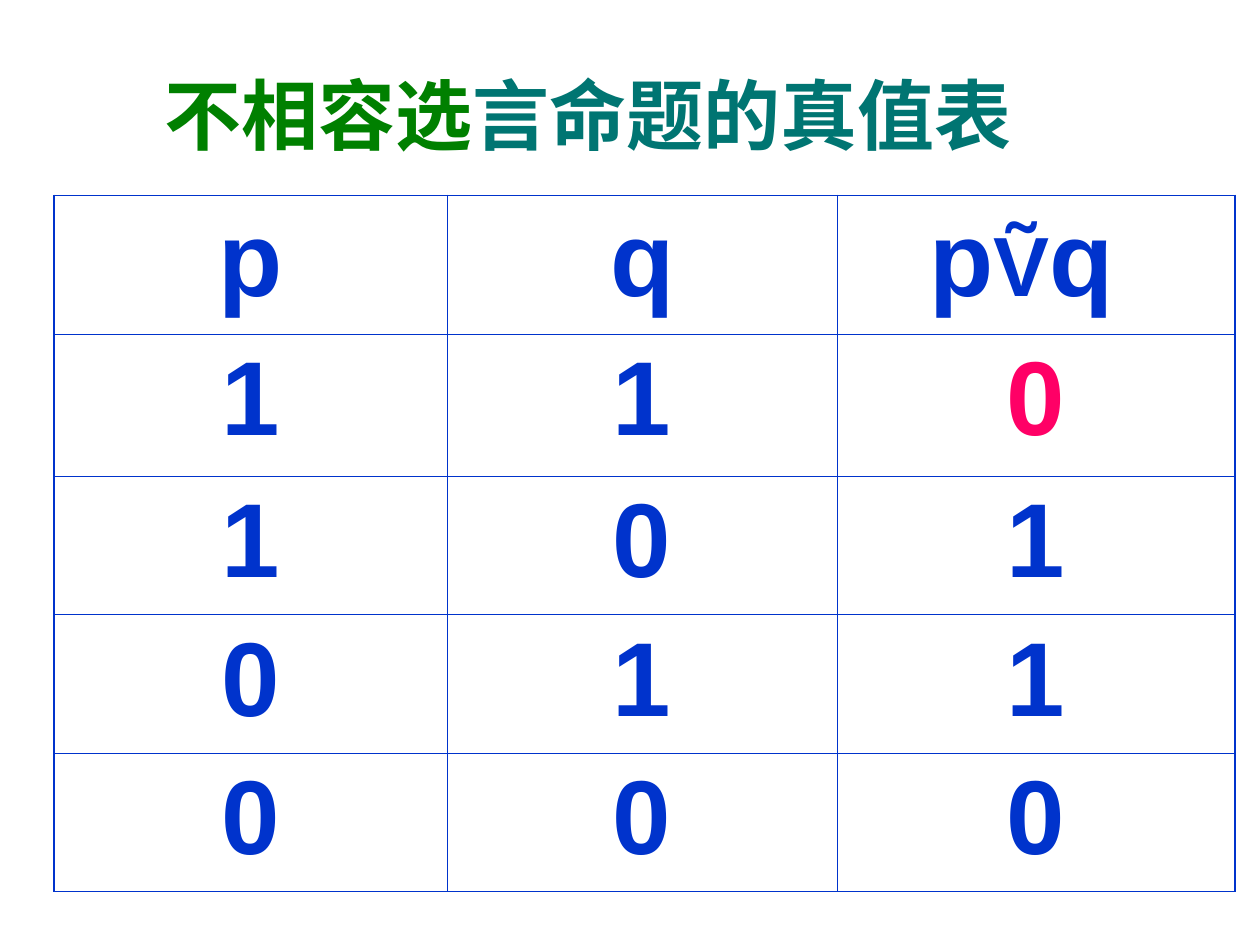
from dataclasses import dataclass

from lxml.etree import SubElement
from pptx import Presentation
from pptx.dml.color import RGBColor
from pptx.enum.text import MSO_ANCHOR, MSO_AUTO_SIZE, PP_ALIGN
from pptx.oxml.ns import qn
from pptx.util import Cm, Pt

BLUE = RGBColor(0x00, 0x33, 0xCC)
PINK = RGBColor(0xFF, 0x00, 0x66)
GREEN = RGBColor(0x00, 0x80, 0x00)
TEAL = RGBColor(0x00, 0x75, 0x72)
FONT = "Arial"
THICK, THIN = Pt(1.08), Pt(0.45)


@dataclass
class Part:
    text: str
    color: RGBColor = BLUE
    size: float = 60


TITLE = [Part("不相容选", GREEN, 44), Part("言命题的真值表", TEAL, 44)]
ROWS = [
    [[Part("p")], [Part("q")], [Part("p"), Part("Ṽ", size=48), Part("q ")]],
    [[Part("1")], [Part("1")], [Part("0", PINK)]],
    [[Part("1")], [Part("0")], [Part("1")]],
    [[Part("0")], [Part("1")], [Part("1")]],
    [[Part("0")], [Part("0")], [Part("0")]],
]
WIDTHS = [7.92, 7.87, 8.01]
HEIGHTS = [2.79, 2.87, 2.79, 2.79, 2.79]


def write(frame, parts: list[Part]) -> None:
    """Fill a text frame with one centred line, run by run."""
    line = frame.paragraphs[0]
    line.alignment = PP_ALIGN.CENTER
    for part in parts:
        run = line.add_run()
        run.text = part.text
        run.font.name = FONT
        run.font.size = Pt(part.size)
        run.font.bold = True
        run.font.color.rgb = part.color


def edge(cell, side: str, width: int) -> None:
    """Draw one border of a cell."""
    line = SubElement(cell._tc.get_or_add_tcPr(), qn(f"a:ln{side}"), w=str(int(width)))
    fill = SubElement(line, qn("a:solidFill"))
    SubElement(fill, qn("a:srgbClr"), val=str(BLUE))


def draw_cell(grid, row: int, col: int, parts: list[Part]) -> None:
    cell = grid.cell(row, col)
    write(cell.text_frame, parts)
    cell.vertical_anchor = MSO_ANCHOR.TOP
    outer = {
        "L": col == 0,
        "R": col == len(WIDTHS) - 1,
        "T": row == 0,
        "B": row == len(HEIGHTS) - 1,
    }
    for side, rim in outer.items():
        edge(cell, side, THICK if rim else THIN)
    cell.fill.background()


def main() -> None:
    deck = Presentation()
    deck.slide_width, deck.slide_height = Cm(25.4), Cm(19.05)
    slide = deck.slides.add_slide(deck.slide_layouts[5])

    # Title
    title = slide.shapes.title
    title.left, title.top = Cm(0), Cm(0.71)
    title.width, title.height = Cm(23.72), Cm(3.18)
    frame = title.text_frame
    frame.word_wrap = True
    frame.auto_size = MSO_AUTO_SIZE.NONE
    frame.vertical_anchor = MSO_ANCHOR.MIDDLE
    write(frame, TITLE)

    # Truth table
    grid = slide.shapes.add_table(
        len(HEIGHTS), len(WIDTHS), Cm(1.09), Cm(3.94),
        Cm(sum(WIDTHS)), Cm(sum(HEIGHTS))).table
    grid.first_row = grid.horz_banding = False
    for col, width in zip(grid.columns, WIDTHS):
        col.width = Cm(width)
    for row, height in zip(grid.rows, HEIGHTS):
        row.height = Cm(height)
    for r, row in enumerate(ROWS):
        for c, parts in enumerate(row):
            draw_cell(grid, r, c, parts)

    deck.save("out.pptx")


if __name__ == "__main__":
    main()
